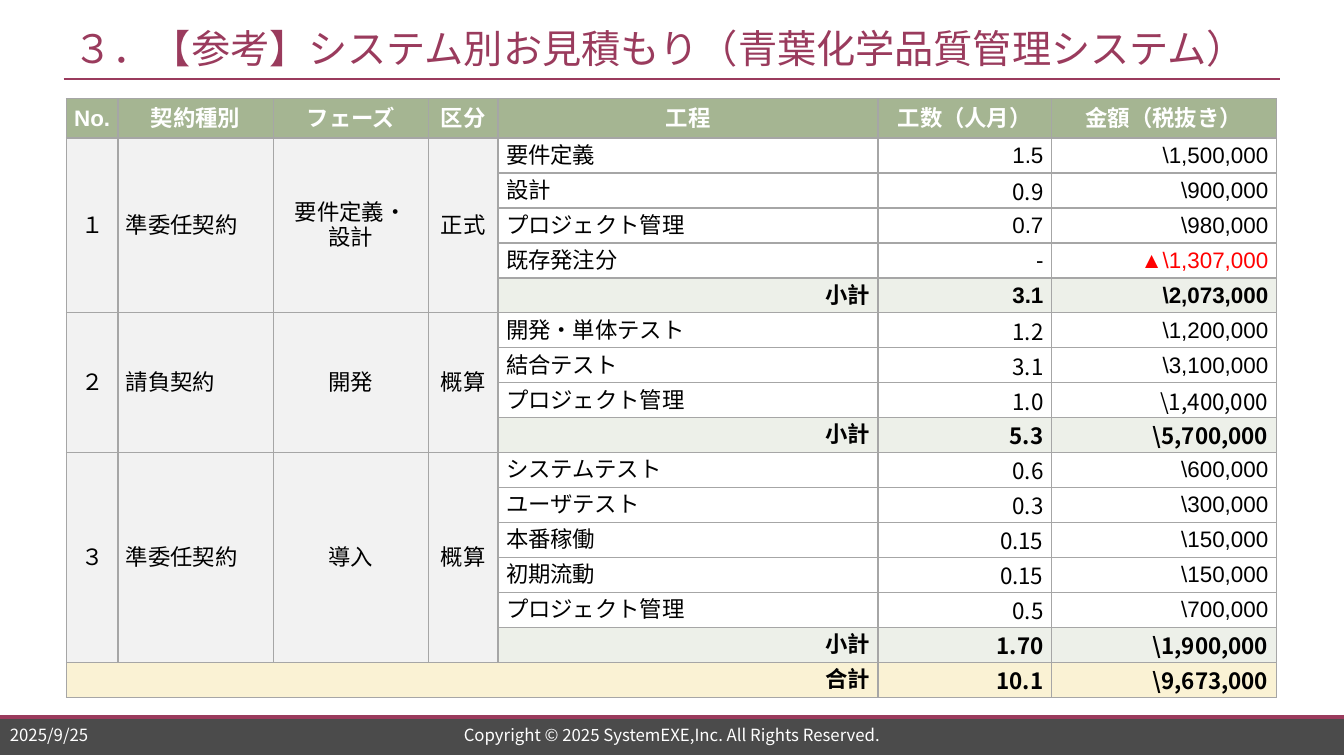
from pptx import Presentation, util as u
from pptx.dml.color import RGBColor
from pptx.enum import shapes, text
from pptx.oxml import parse_xml
from pptx.oxml.ns import nsdecls, qn
from lxml import etree

COLUMNS, ROWS = 1333, 750
CELL = u.Inches(0.01)
JAPANESE, LATIN = "Noto Sans CJK JP", "Arial"
ACCENT, BLACK, WHITE = "9A3B5D", "000000", "FFFFFF"
HEADER, GROUP, SUBTOTAL, TOTAL = "A5B592", "F2F2F2", "EDF0E9", "FAF2D4"
LEFT, CENTER, RIGHT = text.PP_ALIGN.LEFT, text.PP_ALIGN.CENTER, text.PP_ALIGN.RIGHT
FONTS = {"A": LATIN, "N": JAPANESE}

HEADINGS = ["No.", "契約種別", "フェーズ", "区分", "工程", "工数（人月）", "金額（税抜き）"]
WIDTHS = [51, 154, 154, 69, 377, 172, 223]
CONTRACTS = [
    (["１", "準委任契約", "要件定義・\n設計", "正式"], [
        ("要件定義", "1.5", "\\1,500,000", "AA"),
        ("設計", "0.9", "\\900,000", "NA"),
        ("プロジェクト管理", "0.7", "\\980,000", "AA"),
        ("既存発注分", "-", "▲\\1,307,000", "AA"),
        ("小計", "3.1", "\\2,073,000", "AA")]),
    (["２", "請負契約", "開発", "概算"], [
        ("開発・単体テスト", "1.2", "\\1,200,000", "NA"),
        ("結合テスト", "3.1", "\\3,100,000", "NA"),
        ("プロジェクト管理", "1.0", "\\1,400,000", "NN"),
        ("小計", "5.3", "\\5,700,000", "NN")]),
    (["３", "準委任契約", "導入", "概算"], [
        ("システムテスト", "0.6", "\\600,000", "NA"),
        ("ユーザテスト", "0.3", "\\300,000", "NA"),
        ("本番稼働", "0.15", "\\150,000", "NA"),
        ("初期流動", "0.15", "\\150,000", "NA"),
        ("プロジェクト管理", "0.5", "\\700,000", "NA"),
        ("小計", "1.70", "\\1,900,000", "NN")]),
]
GRAND_TOTAL = ("合計", "10.1", "\\9,673,000", "NN")


def color(value):
    """Turn a hex string into a colour."""
    return RGBColor.from_string(value)


def grid(*lengths):
    """Turn grid columns or rows into slide lengths."""
    return [round(length * CELL) for length in lengths]


def write(frame, words, size, ink, font=JAPANESE, align=LEFT, bold=False):
    """Fill a text frame with evenly formatted paragraphs."""
    frame.text = words
    frame.vertical_anchor = text.MSO_ANCHOR.MIDDLE
    for paragraph in frame.paragraphs:
        paragraph.alignment = align
        for run in paragraph.runs:
            run.font.size, run.font.bold = u.Pt(size), bold
            run.font.color.rgb = color(ink)
            run.font.name = font
            east_asian = etree.SubElement(run.font._element, qn("a:ea"))
            east_asian.set("typeface", font)


def add_rule(slide, left, top, width, weight):
    """Draw a horizontal accent line."""
    start, level, end = grid(left, top, left + width)
    line = slide.shapes.add_connector(shapes.MSO_CONNECTOR.STRAIGHT, start, level, end, level)
    line.line.color.rgb, line.line.width = color(ACCENT), u.Pt(weight)
    etree.SubElement(line._element.spPr, qn("a:effectLst"))


def add_title(slide, box):
    """Place the title and the rule beneath it."""
    left, top, width, height = box
    title = slide.shapes.title
    title.left, title.top, title.width, title.height = grid(*box)
    write(title.text_frame, "３．【参考】システム別お見積もり（青葉化学品質管理システム）", 28, ACCENT)
    title.text_frame.word_wrap = False
    title.text_frame.auto_size = text.MSO_AUTO_SIZE.NONE
    add_rule(slide, left, top + height + 3, width, 1.5)


def add_footer(slide, box):
    """Place the dark band with its rule, date and copyright line."""
    left, top, width, height = box
    band = slide.shapes.add_shape(shapes.MSO_SHAPE.RECTANGLE, *grid(*box))
    band.shadow.inherit = False
    band.fill.solid()
    band.fill.fore_color.rgb = color("4B4B4B")
    band.line.fill.background()
    add_rule(slide, left, top + 1, width, 2.75)
    labels = [("Copyright © 2025 SystemEXE,Inc. All Rights Reserved.", 332, 669, CENTER),
              ("2025/9/25", 0, 157, LEFT)]
    for words, offset, span, align in labels:
        label = slide.shapes.add_textbox(*grid(left + offset, top + 7, span, 24))
        label.text_frame.word_wrap = True
        write(label.text_frame, words, 12, WHITE, align=align)


def add_borders(cell):
    """Give a cell thin grey borders."""
    properties = cell._tc.get_or_add_tcPr()
    for index, side in enumerate(("lnL", "lnR", "lnT", "lnB")):
        properties.insert(index, parse_xml(
            f'<a:{side} {nsdecls("a")} w="12700"><a:solidFill>'
            f'<a:srgbClr val="A6A6A6"/></a:solidFill></a:{side}>'))


def fill_cell(cell, words, fill, align, font=LATIN, ink=BLACK, bold=False):
    """Write one cell over its fill."""
    side = 1 if fill == HEADER else 8
    cell.margin_left, cell.margin_right, cell.margin_top, cell.margin_bottom = grid(
        side, side, side % 8, 0)
    cell.fill.solid()
    cell.fill.fore_color.rgb = color(fill)
    write(cell.text_frame, words, 16, ink, font, align, bold)
    cell.vertical_anchor = text.MSO_ANCHOR.MIDDLE


def fill_amounts(table, row, entry, fill, bold):
    """Write the effort and price of one row."""
    for column, words, font in zip((5, 6), entry[1:3], entry[3]):
        ink = "FF0000" if words.startswith("▲") else BLACK
        fill_cell(table.cell(row, column), words, fill, RIGHT, FONTS[font], ink, bold)


def fill_contract(table, top, group, entries):
    """Write one contract: merged group cells and its work rows."""
    for column, words in enumerate(group):
        cell = table.cell(top, column)
        cell.merge(table.cell(top + len(entries) - 1, column))
        fill_cell(cell, words, GROUP, LEFT if column == 1 else CENTER)
    for row, entry in enumerate(entries, top):
        closing = entry[0] == "小計"
        fill = SUBTOTAL if closing else WHITE
        fill_cell(table.cell(row, 4), entry[0], fill, RIGHT if closing else LEFT, bold=closing)
        fill_amounts(table, row, entry, fill, closing)


def add_estimate(slide, box):
    """Place the estimate table in its box."""
    height, header_height = box[3], 39
    count = 2 + sum(len(entries) for group, entries in CONTRACTS)
    table = slide.shapes.add_table(count, len(HEADINGS), *grid(*box)).table
    table.first_row = table.horz_banding = False
    for column, width in zip(table.columns, grid(*WIDTHS)):
        column.width = width
    row_height = (height - header_height) / (count - 1)
    for row, length in zip(table.rows, grid(header_height, *[row_height] * (count - 1))):
        row.height = length
    for cell in table.iter_cells():
        add_borders(cell)
    for column, words in enumerate(HEADINGS):
        fill_cell(table.cell(0, column), words, HEADER, CENTER, ink=WHITE, bold=True)
    top = 1
    for group, entries in CONTRACTS:
        fill_contract(table, top, group, entries)
        top += len(entries)
    table.cell(top, 0).merge(table.cell(top, 4))
    fill_cell(table.cell(top, 0), GRAND_TOTAL[0], TOTAL, RIGHT, bold=True)
    fill_amounts(table, top, GRAND_TOTAL, TOTAL, True)


def main():
    """Build the estimate slide."""
    presentation = Presentation()
    presentation.slide_width, presentation.slide_height = grid(COLUMNS, ROWS)
    slide = presentation.slides.add_slide(presentation.slide_layouts[5])
    add_footer(slide, (0, 710, COLUMNS, 39))
    add_title(slide, (63, 20, 1207, 55))
    add_estimate(slide, (66, 98, sum(WIDTHS), 594))
    presentation.save("out.pptx")


if __name__ == "__main__":
    main()
